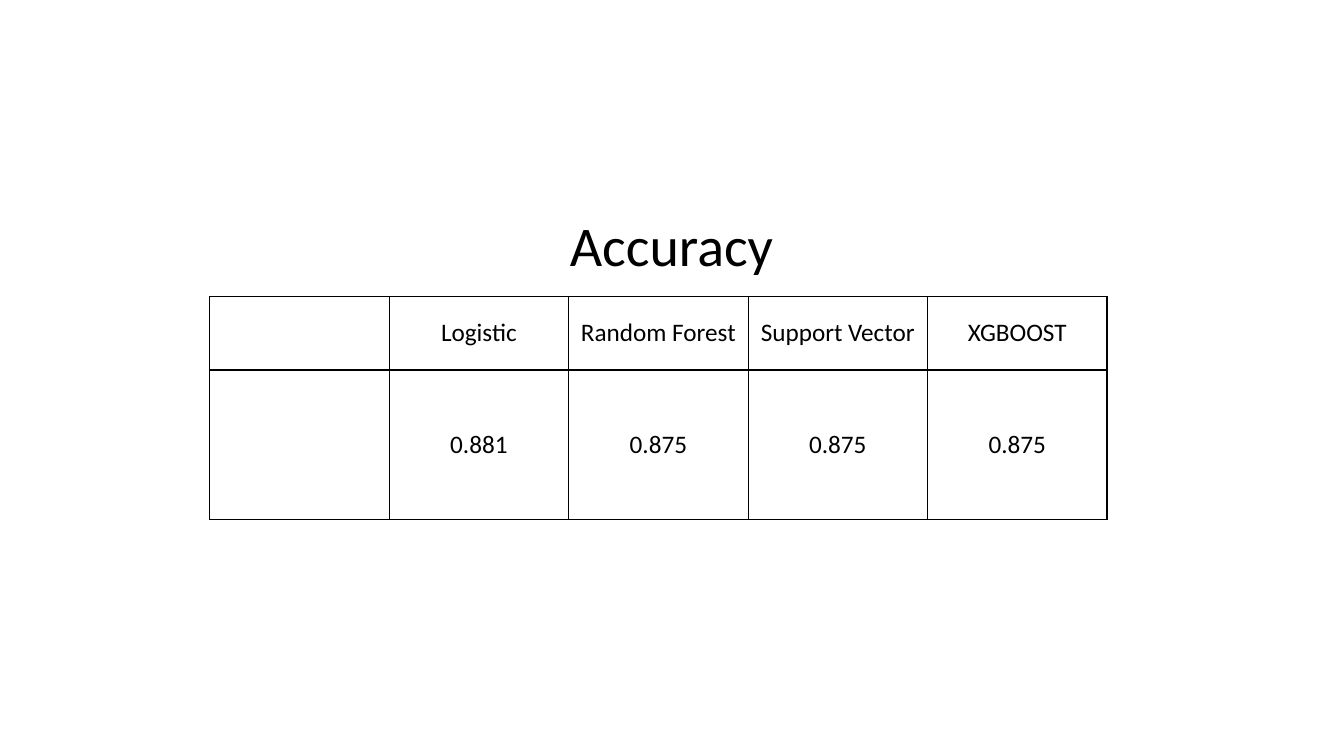
from typing import NamedTuple

from lxml import etree
from pptx import Presentation
from pptx.dml.color import RGBColor
from pptx.enum.text import MSO_ANCHOR, MSO_AUTO_SIZE, PP_ALIGN
from pptx.oxml.ns import qn
from pptx.util import Inches, Pt

MIDDLE = MSO_ANCHOR.MIDDLE
BOTTOM = MSO_ANCHOR.BOTTOM
FIXED = MSO_AUTO_SIZE.NONE
CENTER = PP_ALIGN.CENTER

FONT = "Calibri"
BLACK = "000000"
WHITE = "FFFFFF"
WIDTH = 1.78
HEIGHTS = (0.73, 1.48)


class Model(NamedTuple):
    name: str
    score: str


MODELS = (
    Model("", ""),
    Model("Logistic", "0.881"),
    Model("Random Forest", "0.875"),
    Model("Support Vector", "0.875"),
    Model("XGBOOST", "0.875"),
)


def paint(fill, color: str) -> None:
    fill.solid()
    fill.fore_color.rgb = RGBColor.from_string(color)


def write(frame, text: str, size: float) -> None:
    par = frame.paragraphs[0]
    par.alignment = CENTER
    if not text:
        return
    run = par.add_run()
    run.text = text
    run.font.name = FONT
    run.font.size = Pt(size)
    paint(run.font.fill, BLACK)


def border(cell) -> None:
    props = cell._tc.get_or_add_tcPr()
    for side in ("lnL", "lnR", "lnT", "lnB"):
        line = etree.SubElement(props, qn(f"a:{side}"), w=str(Pt(1)))
        fill = etree.SubElement(line, qn("a:solidFill"))
        etree.SubElement(fill, qn("a:srgbClr"), val=BLACK)


def draw_title(slide, text: str) -> None:
    title = slide.shapes.title
    title.left, title.top = Inches(4.1), Inches(1.73)
    title.width, title.height = Inches(5.12), Inches(1.08)
    paint(title.fill, WHITE)
    frame = title.text_frame
    frame.word_wrap = True
    frame.auto_size = FIXED
    frame.vertical_anchor = BOTTOM
    write(frame, text, 40)


def draw_table(slide, models: tuple[Model, ...]) -> None:
    table = slide.shapes.add_table(
        len(HEIGHTS), len(models), Inches(2.08), Inches(2.94),
        Inches(WIDTH * len(models)), Inches(sum(HEIGHTS)),
    ).table
    table.first_row = False
    table.horz_banding = False
    for row, height in zip(table.rows, HEIGHTS):
        row.height = Inches(height)
    for col, model in enumerate(models):
        table.columns[col].width = Inches(WIDTH)
        for row, text in enumerate(model):
            cell = table.cell(row, col)
            border(cell)
            paint(cell.fill, WHITE)
            cell.vertical_anchor = MIDDLE
            write(cell.text_frame, text, 18)


def main() -> None:
    deck = Presentation()
    deck.slide_width, deck.slide_height = Inches(13.33), Inches(7.5)
    slide = deck.slides.add_slide(deck.slide_layouts[5])
    paint(slide.background.fill, WHITE)
    draw_table(slide, MODELS)
    draw_title(slide, "Accuracy")
    deck.save("out.pptx")


if __name__ == "__main__":
    main()
